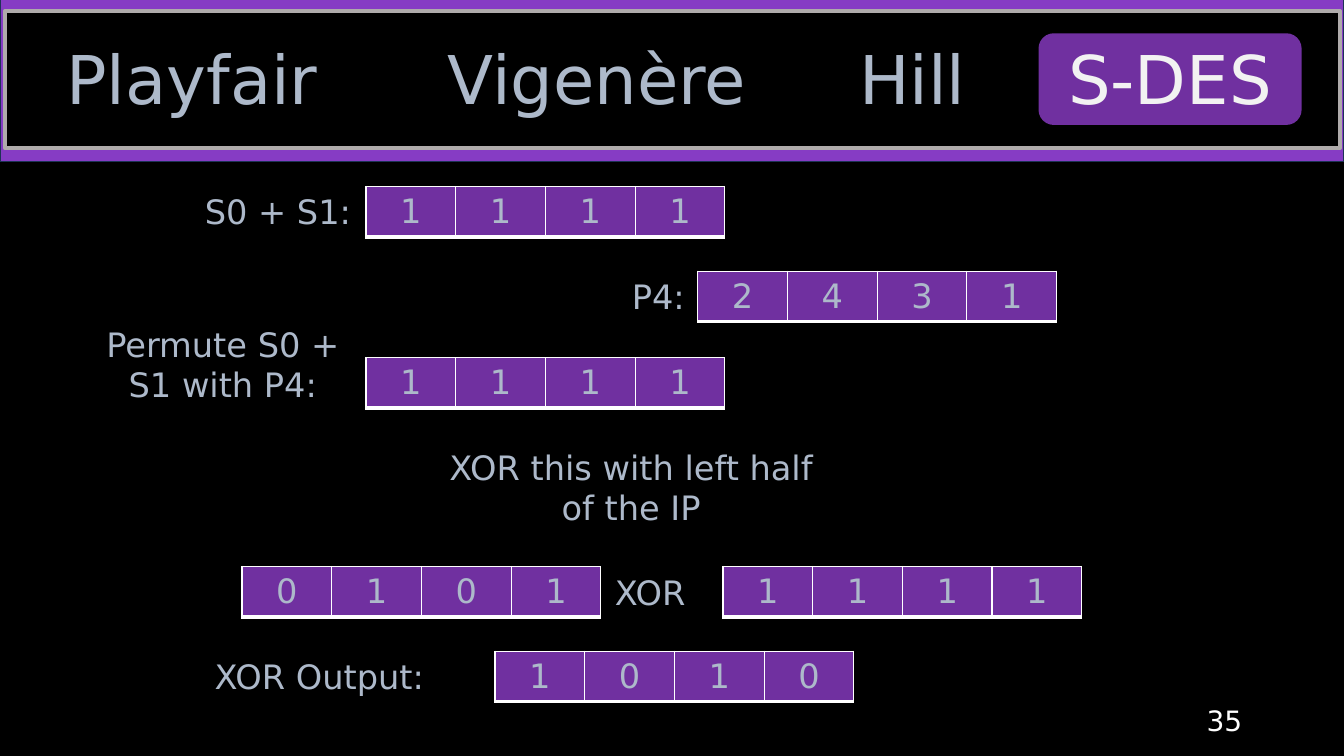
from dataclasses import dataclass

from lxml.etree import SubElement
from pptx import Presentation
from pptx.dml.color import RGBColor
from pptx.enum.shapes import MSO_SHAPE as Shape
from pptx.enum.text import MSO_ANCHOR as Anchor, PP_ALIGN as Align
from pptx.oxml.ns import qn
from pptx.util import Inches, Pt

FONT = "DejaVu Sans"
PURPLE = "7030A0"
GREY_BLUE = "ADB9CA"
WHITE = "FFFFFF"
BLACK = "000000"
BIT_WIDTH = 0.89
ROW_HEIGHT = 0.5
BORDERS = {"L": 1, "R": 1, "T": 1, "B": 3}


@dataclass
class Panel:
    left: float
    top: float
    width: float
    height: float
    fill: str
    line: str = ""
    line_width: float = 0
    kind: Shape = Shape.RECTANGLE


@dataclass
class Label:
    text: str
    left: float
    top: float
    width: float
    height: float = ROW_HEIGHT
    align: Align = Align.CENTER
    size: float = 24
    color: str = GREY_BLUE
    anchor: Anchor = Anchor.TOP


@dataclass
class BitRow:
    bits: str
    left: float
    top: float


PANELS = [
    Panel(0, -0.02, 13.33, 1.62, "863CC4", "1E3256", 1),
    Panel(0.05, 0.11, 13.24, 1.36, BLACK, "AFABAB", 3),
    Panel(10.3, 0.33, 2.61, 0.91, PURPLE, kind=Shape.ROUNDED_RECTANGLE),
]
ACTIVE_TAB = Label("S-DES", 10.3, 0.32, 2.61, 0.91, size=48, color="F2F2F2")
LABELS = [
    Label("Playfair", 0.24, 0.32, 3.33, 0.91, size=48),
    Label("Vigenère", 4.05, 0.32, 3.74, 0.91, size=48),
    Label("Hill", 8.27, 0.32, 1.56, 0.91, size=48),
    Label("S0 + S1:", 1.46, 1.84, 2.12, align=Align.RIGHT),
    Label("P4:", 4.77, 2.69, 2.12, align=Align.RIGHT),
    Label("Permute S0 + S1 with P4:", 0.79, 3.16, 2.84, 0.91),
    Label("XOR this with left half of the IP", 4.29, 4.38, 3.94, 0.91),
    Label("XOR", 6, 5.62, 1.2, align=Align.LEFT),
    Label("XOR Output:", 2.03, 6.46, 2.69, align=Align.LEFT),
    Label("35", 9.42, 6.95, 3, 0.4, Align.RIGHT, 20, WHITE, Anchor.MIDDLE),
]
BIT_ROWS = [
    BitRow("1111", 3.63, 1.85),
    BitRow("2431", 6.92, 2.69),
    BitRow("1111", 3.63, 3.55),
    BitRow("0101", 2.4, 5.62),
    BitRow("1111", 7.17, 5.62),
    BitRow("1010", 4.91, 6.46),
]


def paint(fill, color: str) -> None:
    fill.solid()
    fill.fore_color.rgb = RGBColor.from_string(color)


def style_text(tf, text: str, size: float, color: str, align: Align) -> None:
    tf.text = text
    p = tf.paragraphs[0]
    p.alignment = align
    font = p.runs[0].font
    font.name = FONT
    font.size = Pt(size)
    paint(font.fill, color)


def add_panel(slide, panel: Panel) -> None:
    box = map(Inches, (panel.left, panel.top, panel.width, panel.height))
    sp = slide.shapes.add_shape(panel.kind, *box)
    sp.shadow.inherit = False
    paint(sp.fill, panel.fill)
    if panel.line:
        paint(sp.line.fill, panel.line)
        sp.line.width = Pt(panel.line_width)
    else:
        sp.line.fill.background()


def fill_label(sp, label: Label) -> None:
    sp.left, sp.top = Inches(label.left), Inches(label.top)
    sp.width, sp.height = Inches(label.width), Inches(label.height)
    tf = sp.text_frame
    tf.word_wrap = True
    tf.vertical_anchor = label.anchor
    style_text(tf, label.text, label.size, label.color, label.align)


def add_borders(cell) -> None:
    tc_pr = cell._tc.get_or_add_tcPr()
    for i, (side, width) in enumerate(BORDERS.items()):
        ln = SubElement(tc_pr, qn(f"a:ln{side}"), w=str(Pt(width)))
        SubElement(SubElement(ln, qn("a:solidFill")), qn("a:srgbClr"), val=WHITE)
        tc_pr.insert(i, ln)


def add_bit_row(slide, row: BitRow) -> None:
    count = len(row.bits)
    box = map(Inches, (row.left, row.top, count * BIT_WIDTH, ROW_HEIGHT))
    table = slide.shapes.add_table(1, count, *box).table
    table.first_row = False
    table.horz_banding = False
    for cell, bit in zip(table.iter_cells(), row.bits):
        style_text(cell.text_frame, bit, 24, GREY_BLUE, Align.CENTER)
        cell.vertical_anchor = Anchor.MIDDLE
        paint(cell.fill, PURPLE)
        add_borders(cell)


def main() -> None:
    prs = Presentation()
    prs.slide_width, prs.slide_height = Inches(13.33), Inches(7.5)
    slide = prs.slides.add_slide(prs.slide_layouts[5])
    paint(slide.background.fill, BLACK)
    for panel in PANELS:
        add_panel(slide, panel)
    title = slide.shapes.title
    fill_label(title, ACTIVE_TAB)
    slide.shapes._spTree.append(title._element)
    for label in LABELS:
        fill_label(slide.shapes.add_textbox(0, 0, 0, 0), label)
    for row in BIT_ROWS:
        add_bit_row(slide, row)
    prs.save("out.pptx")


if __name__ == "__main__":
    main()
